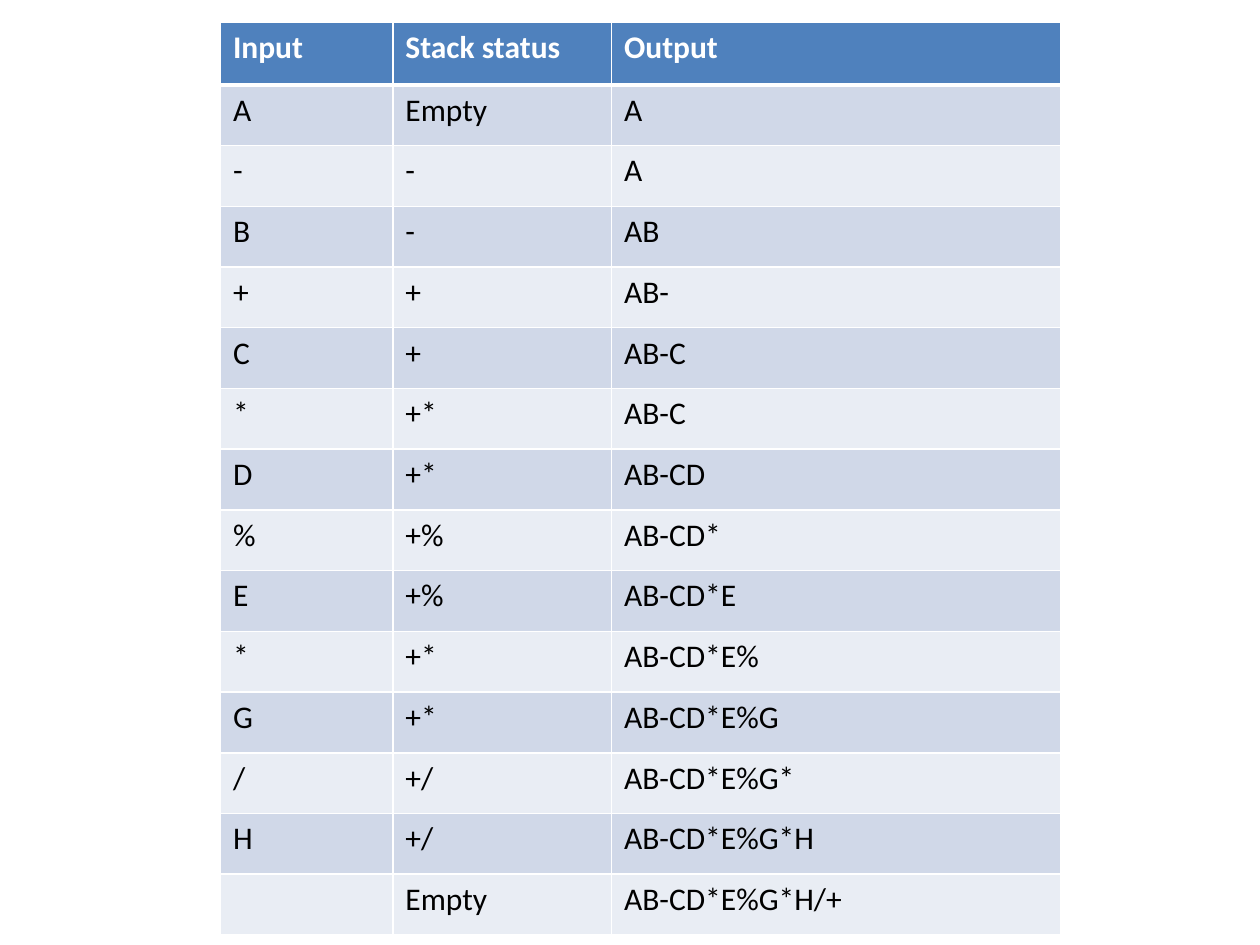
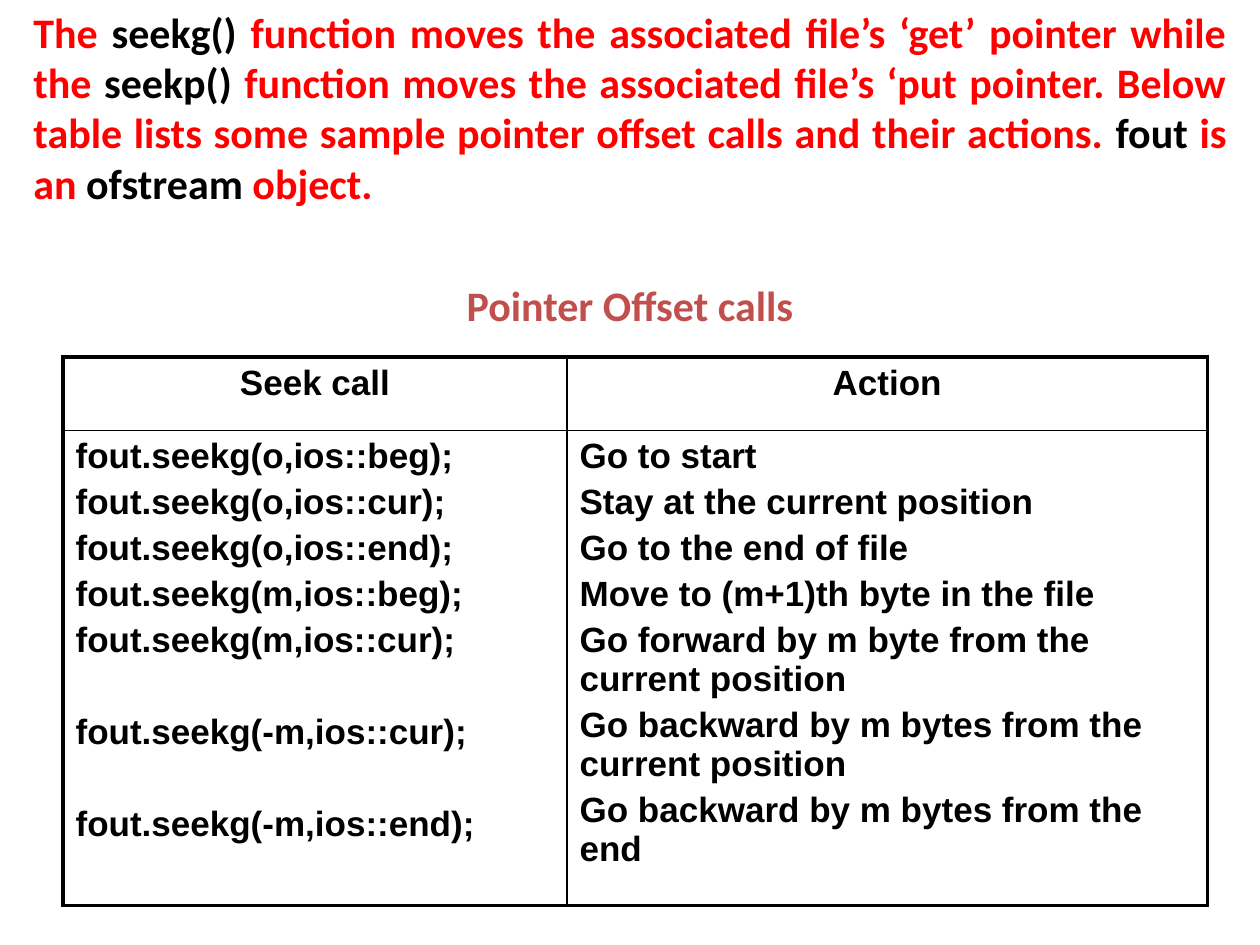
from dataclasses import dataclass
from itertools import cycle
from lxml import etree
from pptx import Presentation
from pptx.dml.color import RGBColor
from pptx.enum import text as t
from pptx.oxml import ns
from pptx.util import Pt


@dataclass(frozen=True)
class Theme:
    """Colours, fonts and type sizes of the deck."""
    white: str = "FFFFFF"
    black: str = "000000"
    red: str = "FF0000"
    brick: str = "C0504D"
    head: str = "4F81BD"
    bands: tuple = ("D0D8E8", "E9EDF4")
    sans: str = "Calibri"
    grid: str = "Arial"
    small: int = 18
    mid: int = 20
    large: int = 24


LOOK = Theme()
LEFT, MID, JUST = t.PP_ALIGN.LEFT, t.PP_ALIGN.CENTER, t.PP_ALIGN.JUSTIFY

TRACE = [
    ("A", "Empty", "A"),
    ("-", "-", "A"),
    ("B", "-", "AB"),
    ("+", "+", "AB-"),
    ("C", "+", "AB-C"),
    ("*", "+*", "AB-C"),
    ("D", "+*", "AB-CD"),
    ("%", "+%", "AB-CD*"),
    ("E", "+%", "AB-CD*E"),
    ("*", "+*", "AB-CD*E%"),
    ("G", "+*", "AB-CD*E%G"),
    ("/", "+/", "AB-CD*E%G*"),
    ("H", "+/", "AB-CD*E%G*H"),
    ("", "Empty", "AB-CD*E%G*H/+"),
]

INTRO = [
    "The ", "seekg()",
    " function moves the associated file’s ‘get’ pointer while the ", "seekp()",
    " function moves the associated file’s ‘put pointer. Below table lists "
    "some sample pointer offset calls and their actions. ", "fout",
    " is an ", "ofstream", " object.",
]

CALLS = [("o,ios::beg", 4), ("o,ios::cur", 4), ("o,ios::end", 4),
         ("m,ios::beg", 4), ("m,ios::cur", 4),
         ("-m,ios::cur", 30.3), ("-m,ios::end", 30.3)]

ACTIONS = [
    "Go to start",
    "Stay at the current position",
    "Go to the end of file",
    "Move to (m+1)th byte in the file",
    "Go forward by m byte from the current position",
    "Go backward by m bytes from the current position",
    "Go backward by m bytes from the end",
]


def style(para, face, size, color, bold=True, align=LEFT, gap=0):
    """Set the font, alignment and space before of a paragraph."""
    font = para.font
    font.name, font.size, font.bold = face, Pt(size), bold
    font.color.rgb = RGBColor.from_string(color)
    para.alignment, para.space_before = align, Pt(gap)


def edge(cell, color, widths):
    """Draw the left, right, top and bottom borders of a cell."""
    props = cell._tc.get_or_add_tcPr()
    for side, width in zip("LRTB", widths):
        line = etree.SubElement(props, ns.qn(f"a:ln{side}"), w=str(Pt(width)))
        fill = etree.SubElement(line, ns.qn("a:solidFill"))
        etree.SubElement(fill, ns.qn("a:srgbClr"), val=color)


def paint(cell, color):
    """Fill a cell with a solid colour."""
    cell.fill.solid()
    cell.fill.fore_color.rgb = RGBColor.from_string(color)


def grid(slide, left, top, cols, rows):
    """Add a plain table with the given column widths and row heights."""
    frame = slide.shapes.add_table(len(rows), len(cols), Pt(left), Pt(top),
                                   Pt(sum(cols)), Pt(sum(rows)))
    table = frame.table
    table.first_row = table.horz_banding = False
    for col, width in zip(table.columns, cols):
        col.width = Pt(width)
    for row, height in zip(table.rows, rows):
        row.height = Pt(height)
    return table


def lines(cell, items, align=LEFT):
    """Write (text, gap) pairs as the bold paragraphs of a cell."""
    frame = cell.text_frame
    frame.text = "\n".join(words for words, _ in items)
    for para, (_, gap) in zip(frame.paragraphs, items):
        style(para, LOOK.grid, LOOK.mid, LOOK.black, align=align, gap=gap)


def trace(slide):
    """Build the banded table of stack states."""
    data = [("Input", "Stack status", "Output")] + TRACE
    table = grid(slide, 126, 12.5, (98.5, 125, 256.5),
                 [36] + [34.7] * len(TRACE))
    bands = cycle(LOOK.bands)
    for i, row in enumerate(data):
        top = i == 0
        back = LOOK.head if top else next(bands)
        for j, words in enumerate(row):
            cell = table.cell(i, j)
            cell.text = words
            style(cell.text_frame.paragraphs[0], LOOK.sans, LOOK.small,
                  LOOK.white if top else LOOK.black, bold=top)
            edge(cell, LOOK.white,
                 (1, 1, 3 if i == 1 else 1, 3 if top else 1))
            paint(cell, back)


def intro(slide):
    """Write the two-colour introduction and the table heading."""
    box = slide.shapes.add_textbox(Pt(12), Pt(0), Pt(696), Pt(194.5))
    frame = box.text_frame
    frame.word_wrap = True
    para = frame.paragraphs[0]
    style(para, LOOK.sans, LOOK.large, LOOK.red, align=JUST, gap=6)
    for words, color in zip(INTRO, cycle((LOOK.red, LOOK.black))):
        run = para.add_run()
        run.text = words
        run.font.color.rgb = RGBColor.from_string(color)
    title = frame.add_paragraph()
    title.text = "Pointer Offset calls"
    style(title, LOOK.sans, LOOK.large, LOOK.brick, align=MID, gap=41)


def seeks(slide):
    """Build the outlined table of seek calls and actions."""
    table = grid(slide, 36, 204, (288, 366), (42, 271))
    for j, words in enumerate(("Seek call", "Action")):
        lines(table.cell(0, j), [(words, 4)], MID)
    lines(table.cell(1, 0), [(f"fout.seekg({arg});", gap)
                             for arg, gap in CALLS])
    lines(table.cell(1, 1), [(words, 4) for words in ACTIONS])
    thin, thick = 1, 2.25
    for i in range(2):
        for j in range(2):
            cell = table.cell(i, j)
            edge(cell, LOOK.black, [thin if inner else thick
                                    for inner in (j, not j, i, not i)])
            cell.fill.background()


def main():
    """Build and save the deck."""
    deck = Presentation()
    deck.slide_width, deck.slide_height = Pt(720), Pt(540)
    blank = deck.slide_layouts[6]
    for parts in ((trace,), (intro, seeks)):
        slide = deck.slides.add_slide(blank)
        for part in parts:
            part(slide)
    deck.save("out.pptx")


main()
